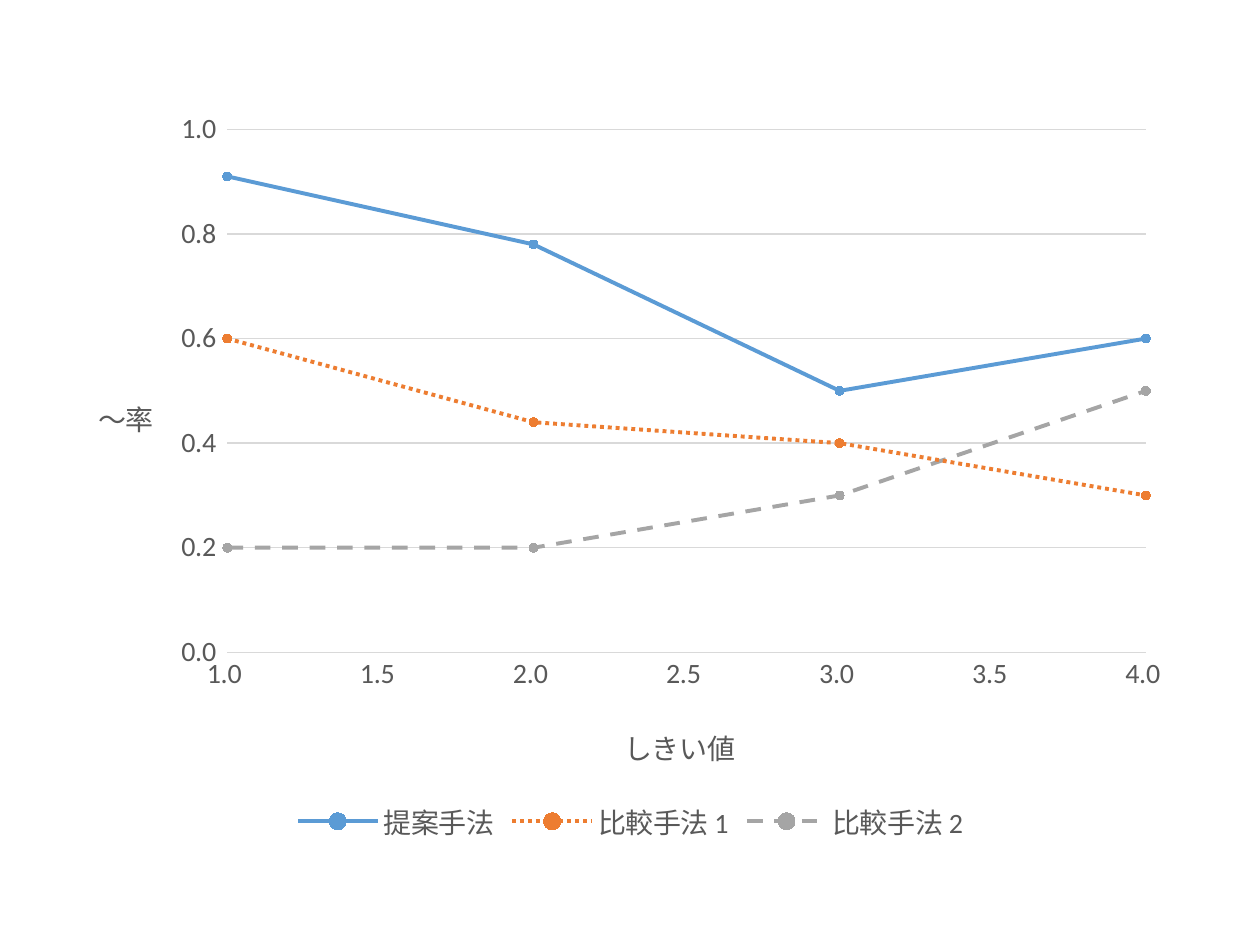
from dataclasses import dataclass

from lxml import etree
from pptx import Presentation
from pptx.chart.data import XyChartData
from pptx.dml.color import RGBColor
from pptx.enum.chart import XL_CHART_TYPE, XL_LEGEND_POSITION, XL_MARKER_STYLE, XL_TICK_MARK
from pptx.enum.dml import MSO_LINE
from pptx.oxml.ns import qn
from pptx.util import Inches, Pt

SCATTER_LINES = XL_CHART_TYPE.XY_SCATTER_LINES
BOTTOM = XL_LEGEND_POSITION.BOTTOM
CIRCLE = XL_MARKER_STYLE.CIRCLE
NO_TICK = XL_TICK_MARK.NONE
SOLID, DOTTED, DASHED = MSO_LINE.SOLID, MSO_LINE.ROUND_DOT, MSO_LINE.DASH


@dataclass(frozen=True)
class Theme:
    font: str = "Calibri"
    text: RGBColor = RGBColor(0x59, 0x59, 0x59)
    grid: RGBColor = RGBColor(0xD9, 0xD9, 0xD9)
    size: Pt = Pt(16)
    thin: Pt = Pt(0.75)
    thick: Pt = Pt(2.25)
    marker: int = 5
    number_format: str = r"#,##0.0_);[Red]\(#,##0.0\)"


@dataclass(frozen=True)
class Method:
    name: str
    rates: tuple[float, ...]
    color: str
    dash: MSO_LINE


@dataclass(frozen=True)
class Scale:
    title: str
    title_place: dict[str, float]
    low: float
    high: float
    step: float


THEME = Theme()
THRESHOLDS = (1, 2, 3, 4)
METHODS = (
    Method("提案手法", (0.91, 0.78, 0.5, 0.6), "5B9BD5", SOLID),
    Method("比較手法 1", (0.6, 0.44, 0.4, 0.3), "ED7D31", DOTTED),
    Method("比較手法 2", (0.2, 0.2, 0.3, 0.5), "A5A5A5", DASHED),
)
THRESHOLD_SCALE = Scale("しきい値", {"x": 0.49, "y": 0.83}, 1, 4, 0.5)
RATE_SCALE = Scale("～率", {"x": 0.02, "y": 0.39}, 0, 1, 0.2)
PLOT_PLACE = {"x": 0.14, "y": 0.04, "w": 0.82, "h": 0.7}


def style_font(font) -> None:
    font.name = THEME.font
    font.size = THEME.size
    font.bold = False
    font.color.rgb = THEME.text


def style_line(line, color: RGBColor, width: Pt) -> None:
    line.color.rgb = color
    line.width = width


def place(element, fractions: dict[str, float], inner: bool = False) -> None:
    layout = element.find(qn("c:layout"))
    if layout is None:
        layout = etree.Element(qn("c:layout"))
        element.insert(0, layout)
    manual = etree.SubElement(layout, qn("c:manualLayout"))
    if inner:
        etree.SubElement(manual, qn("c:layoutTarget"), val="inner")
    for mode in ("xMode", "yMode"):
        etree.SubElement(manual, qn(f"c:{mode}"), val="edge")
    for key, fraction in fractions.items():
        etree.SubElement(manual, qn(f"c:{key}"), val=str(fraction))


def style_axis(axis, scale: Scale) -> None:
    axis.minimum_scale, axis.maximum_scale = scale.low, scale.high
    axis.major_unit = scale.step
    axis.major_tick_mark = axis.minor_tick_mark = NO_TICK
    axis.tick_labels.number_format = THEME.number_format
    axis.tick_labels.number_format_is_linked = False
    style_font(axis.tick_labels.font)
    title = axis.axis_title
    title.text_frame.text = scale.title
    style_font(title.text_frame.paragraphs[0].runs[0].font)
    for body in title.element.iter(qn("a:bodyPr")):
        body.set("rot", "0")
        body.set("vert", "horz")
    place(title.element, scale.title_place)


def style_series(series, method: Method) -> None:
    color = RGBColor.from_string(method.color)
    style_line(series.format.line, color, THEME.thick)
    series.format.line.dash_style = method.dash
    marker = series.marker
    marker.style, marker.size = CIRCLE, THEME.marker
    marker.format.fill.solid()
    marker.format.fill.fore_color.rgb = color
    style_line(marker.format.line, color, THEME.thin)


def add_rate_chart(page) -> None:
    data = XyChartData()
    for method in METHODS:
        points = data.add_series(method.name)
        for threshold, rate in zip(THRESHOLDS, method.rates):
            points.add_data_point(threshold, rate)
    chart = page.shapes.add_chart(
        SCATTER_LINES, Inches(0.56), Inches(0.79), Inches(8.89), Inches(5.93), data
    ).chart
    style_font(chart.font)
    chart.has_title = False
    chart.has_legend = True
    chart.legend.position = BOTTOM
    chart.legend.include_in_layout = False
    style_font(chart.legend.font)

    threshold_axis, rate_axis = chart.category_axis, chart.value_axis
    style_axis(threshold_axis, THRESHOLD_SCALE)
    threshold_axis.has_major_gridlines = False
    style_line(threshold_axis.format.line, THEME.grid, THEME.thin)
    style_axis(rate_axis, RATE_SCALE)
    rate_axis.format.line.fill.background()
    rate_axis.has_major_gridlines = True
    style_line(rate_axis.major_gridlines.format.line, THEME.grid, THEME.thin)

    plot = chart.plots[0]
    plot.vary_by_categories = False
    for series, method in zip(plot.series, METHODS):
        style_series(series, method)
    place(next(chart.element.iter(qn("c:plotArea"))), PLOT_PLACE, inner=True)


def main() -> None:
    deck = Presentation()
    deck.slide_width, deck.slide_height = Inches(10), Inches(7.5)
    page = deck.slides.add_slide(deck.slide_layouts[6])
    add_rate_chart(page)
    deck.save("out.pptx")


if __name__ == "__main__":
    main()
